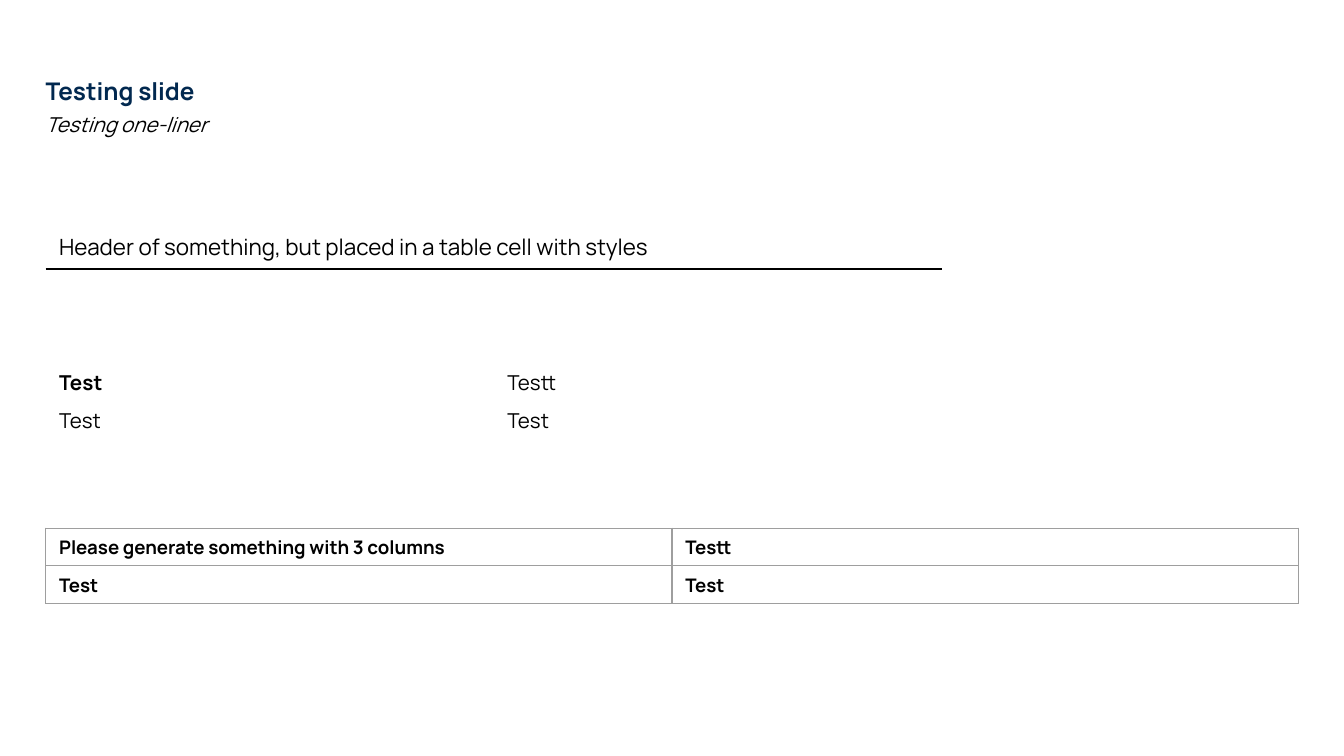
from pptx import Presentation
from pptx.dml.color import RGBColor
from pptx.enum.text import MSO_ANCHOR as Anchor
from pptx.oxml.ns import qn
from pptx.util import Inches, Pt
from lxml.etree import SubElement as Sub

NAVY = RGBColor(0x01, 0x28, 0x4F)
BLACK = RGBColor(0, 0, 0)
GREY = RGBColor(0x9E, 0x9E, 0x9E)
FONT = "Manrope"
LEFT = 0.34
WIDE = 9.32
HALF = 6.67
SIDES = "LRTB"


def set_font(para, size, color=BLACK, bold=False, italic=False):
    font = para.font
    font.name, font.size = FONT, Pt(size)
    font.bold, font.italic = bold, italic
    font.color.rgb = color


def add_title(slide, top, text, size, **style):
    box = slide.shapes.add_textbox(
        Inches(LEFT), Inches(top), Inches(WIDE), Inches(0.44))
    frame = box.text_frame
    frame.word_wrap = True
    frame.margin_left = frame.margin_right = 0
    frame.margin_top = frame.margin_bottom = Inches(0.1)
    para = frame.paragraphs[0]
    para.text = text
    set_font(para, size, **style)


def set_edges(cell, edges, color, width):
    """Draw the named sides of a cell and clear the others."""
    props = cell._tc.get_or_add_tcPr()
    for side in SIDES:
        line = Sub(props, qn(f"a:ln{side}"))
        if side in edges:
            line.set("w", str(Pt(width)))
            fill = Sub(line, qn("a:solidFill"))
            Sub(fill, qn("a:srgbClr")).set("val", str(color))
        else:
            Sub(line, qn("a:noFill"))


def add_grid(slide, top, width, height, high, rows, size, bold=(), edges="",
             color=BLACK, line=1, anchor=Anchor.TOP):
    """Add a table; high is the least row height, bold holds (row, column)."""
    frame = slide.shapes.add_table(
        len(rows), len(rows[0]), Inches(LEFT), Inches(top),
        Inches(width), Inches(height))
    table = frame.table
    table.first_row = table.horz_banding = False
    for r, row in enumerate(rows):
        table.rows[r].height = Inches(high)
        for c, text in enumerate(row):
            cell = table.cell(r, c)
            cell.text = text
            cell.vertical_anchor = anchor
            set_font(cell.text_frame.paragraphs[0], size, bold=(r, c) in bold)
            set_edges(cell, edges, color, line)
            cell.fill.background()
    # Row heights reset the height of the frame
    frame.height = Inches(height)


def main():
    deck = Presentation()
    deck.slide_width = Inches(10)
    deck.slide_height = Inches(10 * 9 / 16)
    slide = deck.slides.add_slide(deck.slide_layouts[6])

    add_title(slide, 0.47, "Testing slide", 13, color=NAVY, bold=True)
    add_title(slide, 0.74, "Testing one-liner", 11, italic=True)

    pairs = [["Test", "Testt"], ["Test", "Test"]]
    add_grid(slide, 2.69, HALF, 0.57, 0.25, pairs, 11, bold=[(0, 0)])

    boxed = [["Please generate something with 3 columns", "Testt"],
             ["Test", "Test"]]
    add_grid(slide, 3.93, WIDE, 0.57, 0.28, boxed, 10,
             bold=[(0, 0), (0, 1), (1, 0), (1, 1)],
             edges=SIDES, color=GREY, line=0.75)

    header = [["Header of something, but placed in a table cell with styles"]]
    add_grid(slide, 1.59, HALF, 0.41, 0.41, header, 12, edges="B",
             anchor=Anchor.BOTTOM)

    deck.save("out.pptx")


if __name__ == "__main__":
    main()
